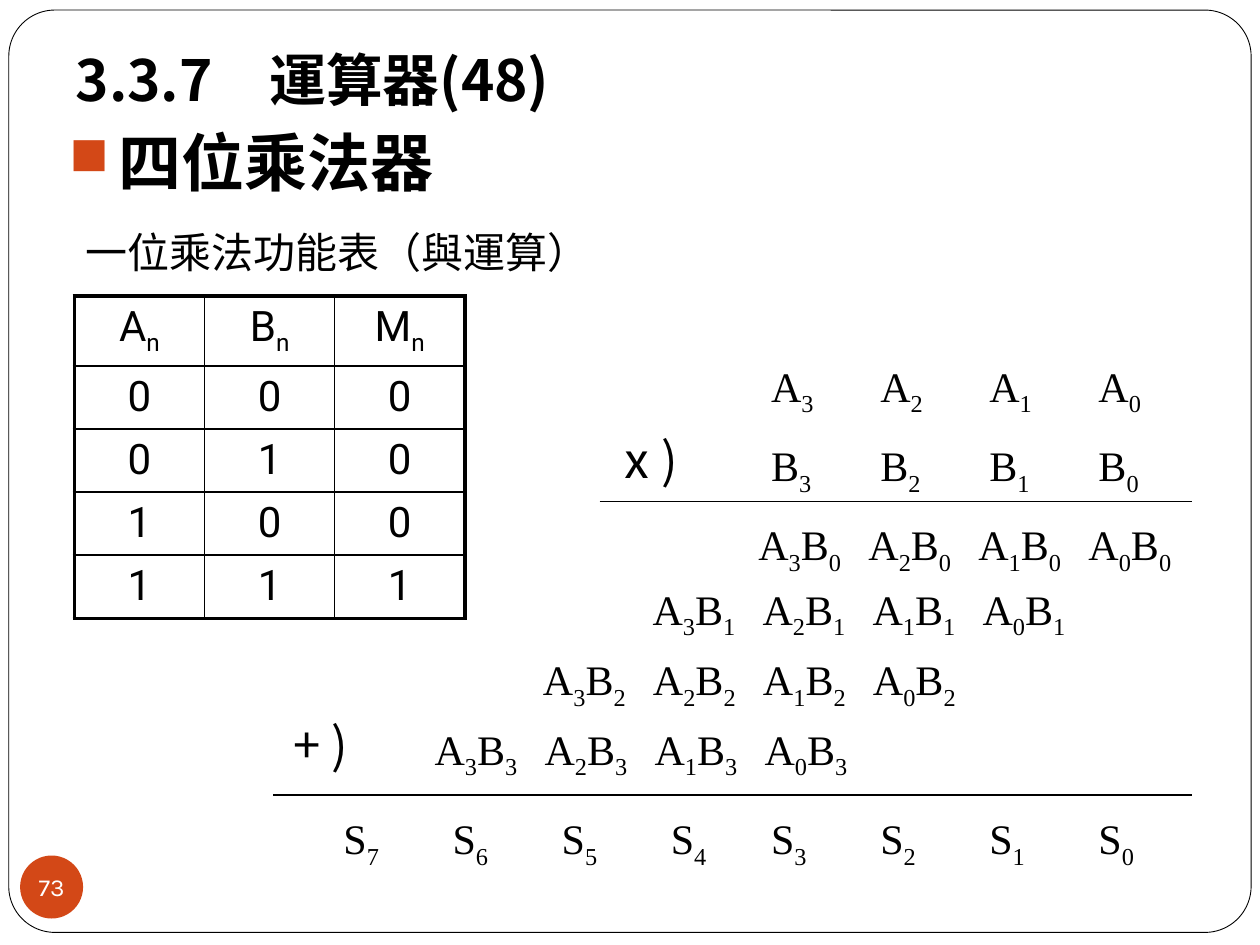
import pptx
import pptx.util
import pptx.dml.color
import pptx.enum.shapes
import pptx.enum.text
import pptx.oxml
import pptx.oxml.ns
from lxml import etree

Inches, Pt = pptx.util.Inches, pptx.util.Pt
RGBColor = pptx.dml.color.RGBColor
MSO_SHAPE = pptx.enum.shapes.MSO_SHAPE
MSO_ANCHOR = pptx.enum.text.MSO_ANCHOR
PP_ALIGN = pptx.enum.text.PP_ALIGN
qn = pptx.oxml.ns.qn

BLACK = RGBColor(0, 0, 0)
WHITE = RGBColor(255, 255, 255)
ORANGE = RGBColor(0xD3, 0x48, 0x17)
SERIF, SANS = "Times New Roman", "Roboto"
CJK, SIGN = "Noto Sans CJK SC", "Noto Sans CJK JP"


def write(p, parts, size, name, bold=False, color=BLACK):
    """Add one run per part; every second part is a subscript."""
    for i, part in enumerate(parts):
        r = p.add_run()
        r.text = part
        r.font.size, r.font.name, r.font.bold = Pt(size), name, bold
        r.font.color.rgb = color
        rPr = r._r.get_or_add_rPr()
        etree.SubElement(rPr, qn("a:ea")).set("typeface", name)
        if i % 2:
            rPr.set("baseline", "-25000")


def label(x, y, w, h, parts, size=24, name=SERIF):
    tf = s.shapes.add_textbox(Inches(x), Inches(y), Inches(w), Inches(h)).text_frame
    tf.word_wrap = False
    tf.auto_size = pptx.enum.text.MSO_AUTO_SIZE.SHAPE_TO_FIT_TEXT
    write(tf.paragraphs[0], parts, size, name)


prs = pptx.Presentation()
prs.slide_width, prs.slide_height = Inches(10), Inches(7.5)
s = prs.slides.add_slide(prs.slide_layouts[5])

# Frame, placed behind the title
frame = s.shapes.add_shape(MSO_SHAPE.ROUNDED_RECTANGLE, Inches(0.07), Inches(0.08),
                           Inches(9.86), Inches(7.32))
frame.adjustments[0] = 0.05
frame.shadow.inherit = False
frame.fill.solid()
frame.fill.fore_color.rgb = WHITE
frame.line.color.rgb = BLACK
frame.line.width = Pt(0.5)
s.shapes._spTree.insert(2, frame._element)

# Page number
badge = s.shapes.add_shape(MSO_SHAPE.OVAL, Inches(0.16), Inches(6.79), Inches(0.5), Inches(0.5))
badge.shadow.inherit = False
badge.fill.solid()
badge.fill.fore_color.rgb = ORANGE
badge.line.fill.background()
tf = badge.text_frame
tf.margin_left = tf.margin_right = tf.margin_top = tf.margin_bottom = 0
tf.vertical_anchor = MSO_ANCHOR.MIDDLE
tf.word_wrap = False
tf.paragraphs[0].alignment = PP_ALIGN.CENTER
write(tf.paragraphs[0], ["73"], 14, "Karla", color=WHITE)

# Title
title = s.shapes.title
title.left, title.top, title.width, title.height = map(Inches, (0.5, 0.33, 9.33, 0.67))
tf = title.text_frame
tf.auto_size = pptx.enum.text.MSO_AUTO_SIZE.NONE
tf.vertical_anchor = MSO_ANCHOR.BOTTOM
tf.margin_bottom = Inches(0.1)
tf.paragraphs[0].alignment = PP_ALIGN.LEFT
write(tf.paragraphs[0], ["3.3.7　運算器(48)"], 32.4, CJK, bold=True)

# Bulleted heading
tf = s.shapes.add_textbox(Inches(0.45), Inches(1), Inches(9.12), Inches(0.75)).text_frame
tf.word_wrap = True
p = tf.paragraphs[0]
pPr = p._p.get_or_add_pPr()
pPr.set("marL", str(Inches(0.39)))
pPr.set("indent", str(-Inches(0.39)))
color = etree.SubElement(pPr, qn("a:buClr"))
etree.SubElement(color, qn("a:srgbClr")).set("val", str(ORANGE))
etree.SubElement(pPr, qn("a:buSzPct")).set("val", "85000")
etree.SubElement(pPr, qn("a:buChar")).set("char", "■")
p.line_spacing = 0.9
write(p, ["四位乘法器"], 36, CJK, bold=True)

# Truth table of the one-bit product
label(0.58, 1.75, 4.24, 0.5, ["一位乘法功能表（與運算）"], name=CJK)
rows = [[("A", "n"), ("B", "n"), ("M", "n")], "000", "010", "100", "111"]
last_row, last_col = len(rows) - 1, 2
table = s.shapes.add_table(5, 3, Inches(0.59), Inches(2.35), Inches(3.1), Inches(2.55)).table
table.first_row = table.horz_banding = False
for i, row in enumerate(rows):
    table.rows[i].height = Inches(0.5 if i else 0.55)
    for j, parts in enumerate(row):
        cell = table.cell(i, j)
        p = cell.text_frame.paragraphs[0]
        p.alignment = PP_ALIGN.CENTER
        write(p, parts, 24, SANS)
        # Thick outer edges, thin inner ones
        tcPr = cell._tc.get_or_add_tcPr()
        outer = {"L": j == 0, "R": j == last_col, "T": i == 0, "B": i == last_row}
        for side, thick in outer.items():
            ln = etree.SubElement(tcPr, qn("a:ln" + side), w=str(Pt(2.25 if thick else 1)))
            fill = etree.SubElement(ln, qn("a:solidFill"))
            etree.SubElement(fill, qn("a:srgbClr")).set("val", str(BLACK))
        cell.fill.background()

# Operands and sum digits, right to left
RIGHT, PITCH = 8.62, 0.866
for n in range(4):
    for letter, y in (("A", 2.81), ("B", 3.44)):
        label(RIGHT - n * PITCH, y, 0.56, 0.5, [letter, str(n)])
for n in range(8):
    x = RIGHT - n * PITCH + (0.07 if n > 3 else 0)
    label(x, 6.4, 0.5, 0.5, ["S", str(n)])

# Partial products, each row one column further left
for b, (x, y) in enumerate([(8.54, 4.07), (7.7, 4.58), (6.83, 5.14), (5.97, 5.69)]):
    for a in range(4):
        label(x - a * 0.873, y, 0.89, 0.5, ["A", str(a), "B", str(b)])

# Operator signs and rules
label(4.76, 3.36, 0.82, 0.57, ["ⅹ)"], 28, SIGN)
label(2.23, 5.62, 0.72, 0.57, ["+ )"], 28, SIGN)
for x, y in ((4.76, 3.98), (2.17, 6.31)):
    rule = s.shapes.add_connector(pptx.enum.shapes.MSO_CONNECTOR.STRAIGHT,
                                  Inches(x), Inches(y), Inches(9.46), Inches(y))
    rule.line.color.rgb = BLACK
    rule.line.width = Pt(0.75)
    etree.SubElement(rule._element.spPr, qn("a:effectLst"))

prs.save("out.pptx")
